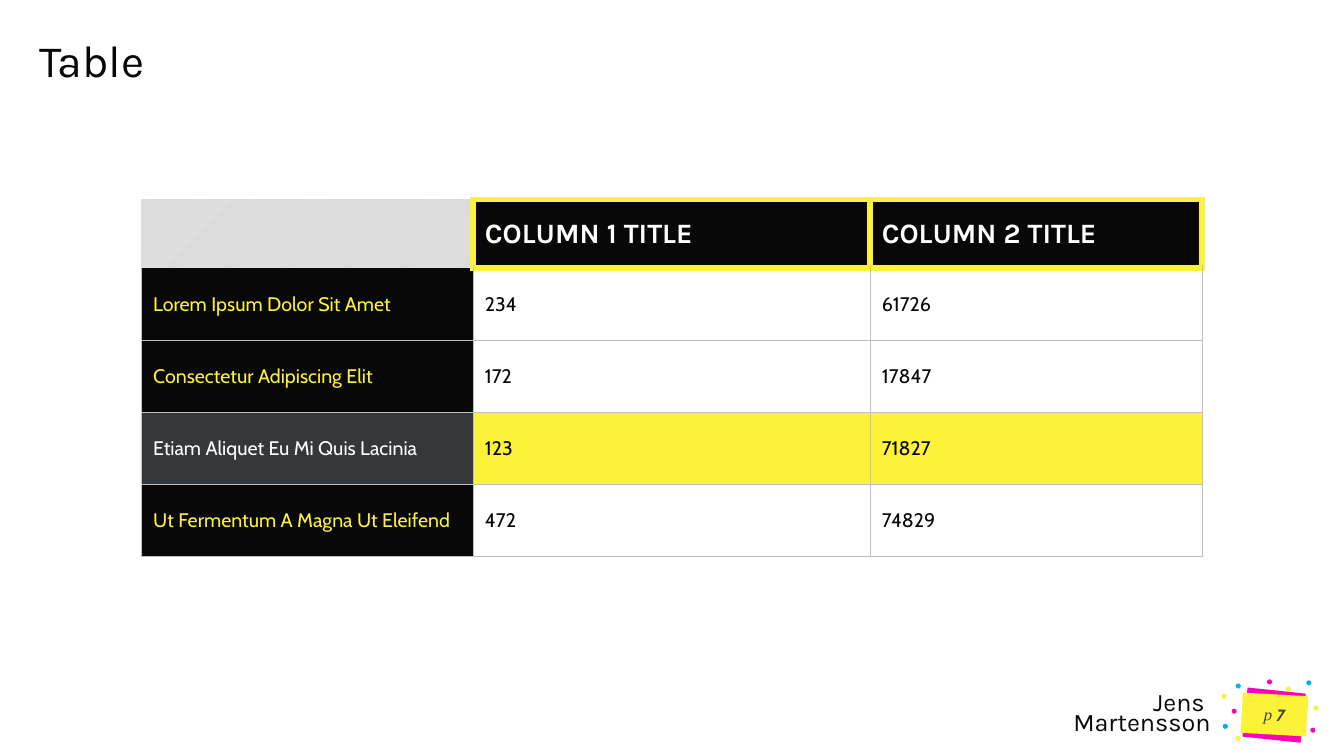
import pptx
import pptx.util
import pptx.dml.color
import pptx.enum.dml
import pptx.enum.shapes
import pptx.enum.text
import pptx.oxml.ns
import lxml.etree

Pt = pptx.util.Pt
Shape = pptx.enum.shapes.MSO_SHAPE
Align = pptx.enum.text.PP_ALIGN
MIDDLE = pptx.enum.text.MSO_ANCHOR.MIDDLE
qn = pptx.oxml.ns.qn
rgb = pptx.dml.color.RGBColor.from_string

COLORS = {
    "ink": "080808", "slate": "34383B", "text grey": "464646",
    "yellow": "FCF238", "pink": "FF01B6", "blue": "00B0F0", "white": "FFFFFF",
    "rule": "BFBFBF", "stripe": "F2F2F2", "stripe ground": "D9D9D9",
}


def write(paragraph, text, font="Karla", size=14, color="ink", bold=False, italic=False,
          align=Align.LEFT, spacing=None):
    paragraph.alignment = align
    if spacing:
        paragraph.line_spacing = spacing
    for position, line in enumerate(text.split("\n")):
        if position:
            paragraph.add_line_break()
        run = paragraph.add_run()
        run.text = line
        run.font.name = font
        run.font.size = Pt(size)
        run.font.bold = bold
        run.font.italic = italic
        run.font.color.rgb = rgb(COLORS[color])


def add_filled(kind, left, top, width, height, color, rotation=0):
    shape = slide.shapes.add_shape(kind, Pt(left), Pt(top), Pt(width), Pt(height))
    shape.shadow.inherit = False
    shape.fill.solid()
    shape.fill.fore_color.rgb = rgb(COLORS[color])
    shape.line.fill.background()
    shape.rotation = rotation
    return shape


deck = pptx.Presentation()
deck.slide_width = Pt(960)
deck.slide_height = Pt(540)
slide = deck.slides.add_slide(deck.slide_layouts[6])

add_filled(Shape.RECTANGLE, 889.2, 493.2, 41.8, 35.3, "pink", rotation=6)

dots = [
    (933.1, 486, "blue"), (905, 485.3, "pink"), (872.6, 495.4, "yellow"),
    (918.7, 490.3, "yellow"), (936, 519.8, "pink"), (938.2, 504, "yellow"),
    (882.7, 488.2, "blue"), (879.8, 506.2, "pink"), (873.4, 517, "blue"),
    (882.7, 525.6, "yellow"),
]
for left, top, color in dots:
    add_filled(Shape.OVAL, left, top, 3.6, 3.6, color)

captions = [
    ("Jens \nMartensson", (747.4, 497.5, 117.4, 28.8), MIDDLE,
     dict(size=18, align=Align.RIGHT, spacing=Pt(14))),
    ("Table", (28, 28, 903.6, 42.5), pptx.enum.text.MSO_ANCHOR.TOP,
     dict(size=32, spacing=0.9)),
]
for text, place, anchor, style in captions:
    frame = slide.shapes.add_textbox(*map(Pt, place)).text_frame
    frame.word_wrap = True
    frame.vertical_anchor = anchor
    frame.margin_left = frame.margin_right = frame.margin_top = frame.margin_bottom = 0
    write(frame.paragraphs[0], text, **style)

rows = [
    ("", "COLUMN 1 TITLE", "COLUMN 2 TITLE"),
    ("Lorem Ipsum Dolor Sit Amet", "234", "61726"),
    ("Consectetur Adipiscing Elit", "172", "17847"),
    ("Etiam Aliquet Eu Mi Quis Lacinia", "123", "71827"),
    ("Ut Fermentum A Magna Ut Eleifend", "472", "74829"),
]
highlighted_row = 3
column_widths = [237, 283.5, 237.5]
row_heights = [49] + [51.5] * 4

table = slide.shapes.add_table(len(rows), len(column_widths), Pt(100.8), Pt(142.5),
                               Pt(sum(column_widths)), Pt(sum(row_heights))).table
table.first_row = False
table.horz_banding = False
for column, width in zip(table.columns, column_widths):
    column.width = Pt(width)
for row, height in zip(table.rows, row_heights):
    row.height = Pt(height)

thick, thin = ("yellow", 4.5), ("rule", 0.25)
for r, row in enumerate(rows):
    for c, text in enumerate(row):
        cell = table.cell(r, c)
        cell.vertical_anchor = MIDDLE
        cell.margin_left = cell.margin_right = Pt(8.64)
        cell.margin_top = cell.margin_bottom = Pt(7.92)

        highlighted = r == highlighted_row
        if r == 0:
            fill, style = "ink", dict(size=20, color="white", bold=True)
            borders = dict.fromkeys("LRTB", thick)
        else:
            borders = dict.fromkeys("LRTB", thin)
            if c == 0:
                fill = "slate" if highlighted else "ink"
                style = dict(font="Cabin", color="white" if highlighted else "yellow")
            else:
                fill = "yellow" if highlighted else "white"
                style = dict(font="Cabin")
            if r == 1:
                borders["T"] = thick if c else None

        if r == c == 0:
            borders = {"L": None, "R": thick, "T": None, "B": None}
            cell.fill.patterned()
            cell.fill.pattern = pptx.enum.dml.MSO_PATTERN.DARK_UPWARD_DIAGONAL
            cell.fill.fore_color.rgb = rgb(COLORS["stripe"])
            cell.fill.back_color.rgb = rgb(COLORS["stripe ground"])
        else:
            cell.fill.solid()
            cell.fill.fore_color.rgb = rgb(COLORS[fill])
            write(cell.text_frame.paragraphs[0], text, **style)

        properties = cell._tc.get_or_add_tcPr()
        for position, (side, border) in enumerate(borders.items()):
            line = lxml.etree.Element(qn("a:ln" + side))
            if border:
                color, width = border
                line.set("w", str(int(Pt(width))))
                solid = lxml.etree.SubElement(line, qn("a:solidFill"))
                lxml.etree.SubElement(solid, qn("a:srgbClr"), val=COLORS[color])
            else:
                lxml.etree.SubElement(line, qn("a:noFill"))
            properties.insert(position, line)

page_card = add_filled(Shape.RECTANGLE, 887, 496, 46.8, 28.8, "yellow", rotation=3.2)
frame = page_card.text_frame
frame.vertical_anchor = MIDDLE
frame.margin_left = frame.margin_right = frame.margin_top = frame.margin_bottom = 0
page_style = dict(size=12, color="text grey", italic=True, align=Align.CENTER)
write(frame.paragraphs[0], "p ", font="Times New Roman", **page_style)
write(frame.paragraphs[0], "7", font="Cabin", bold=True, **page_style)

deck.save("out.pptx")
